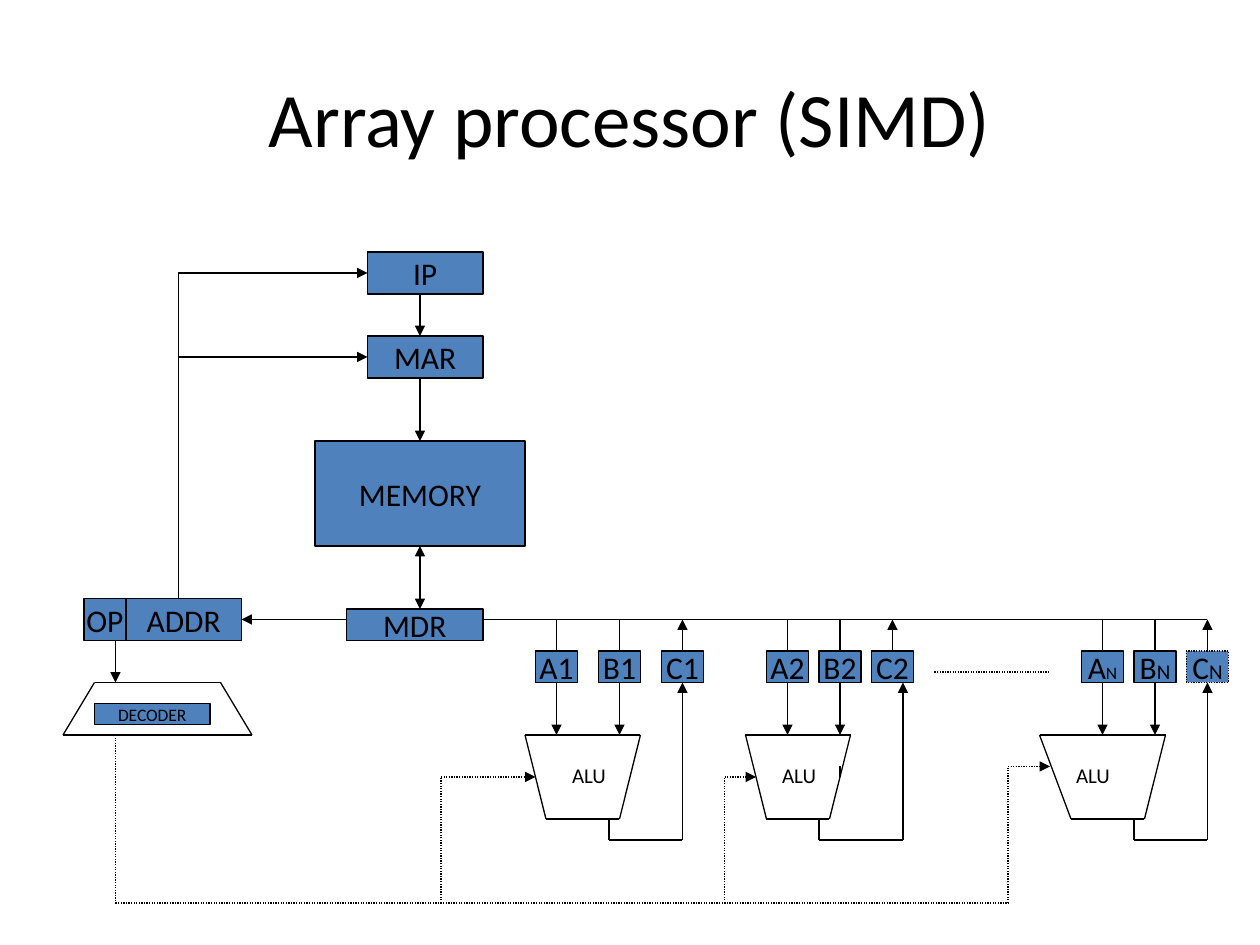
from itertools import pairwise
from lxml.etree import SubElement
from pptx import Presentation
from pptx.dml.color import RGBColor
from pptx.enum.dml import MSO_LINE
from pptx.enum.shapes import MSO_CONNECTOR, MSO_SHAPE
from pptx.enum.text import MSO_ANCHOR, PP_ALIGN
from pptx.oxml.ns import qn
from pptx.util import Inches, Pt

COLORS = {"ink": "000000", "fill": "4F81BD"}
INK = RGBColor.from_string(COLORS["ink"])
FILL = RGBColor.from_string(COLORS["fill"])
FRAME = {"word_wrap": False, "vertical_anchor": MSO_ANCHOR.MIDDLE}

deck = Presentation()
deck.slide_width, deck.slide_height = Inches(10), Inches(7.5)
COL, ROW = deck.slide_width / 120, deck.slide_height / 90
slide = deck.slides.add_slide(deck.slide_layouts[6])
shapes = slide.shapes


def box(left, top, wide, high, runs, solid=True, dash=None):
    area = [int(n) for n in (left * COL, top * ROW, wide * COL, high * ROW)]
    if solid:
        shape = shapes.add_shape(MSO_SHAPE.RECTANGLE, *area)
        shape.shadow.inherit = False
        shape.fill.solid()
        shape.fill.fore_color.rgb = FILL
        shape.line.color.rgb = INK
        shape.line.width = Pt(0.75)
        shape.line.dash_style = dash
    else:
        shape = shapes.add_textbox(*area)
    frame = shape.text_frame
    for key, value in FRAME.items():
        setattr(frame, key, value)
    para = frame.paragraphs[0]
    para.alignment = PP_ALIGN.CENTER
    for text, size in runs:
        run = para.add_run()
        run.text = text
        for key, value in {"name": "Calibri", "size": Pt(size)}.items():
            setattr(run.font, key, value)
        run.font.color.rgb = INK


def wire(*points, ends=(), dash=None):
    pairs = list(pairwise(points))
    for i, (start, stop) in enumerate(pairs):
        spots = [int(n) for x, y in (start, stop) for n in (x * COL, y * ROW)]
        line = shapes.add_connector(MSO_CONNECTOR.STRAIGHT, *spots)
        for key, value in {"width": Pt(0.75), "dash_style": dash}.items():
            setattr(line.line, key, value)
        line.line.color.rgb = INK
        if i == len(pairs) - 1:
            for end in ends:
                SubElement(line.line._get_or_add_ln(), qn(f"a:{end}"), type="triangle")
        SubElement(line._element.spPr, qn("a:effectLst"))


TAIL = ("tailEnd",)
BOTH = ("headEnd", "tailEnd")
DOT = MSO_LINE.ROUND_DOT

box(6, 3.6, 108, 15, [("Array processor (SIMD)", 44)], solid=False)

for left, top, wide, high, text, size in [
    (35, 24, 11, 4, "IP", 18),
    (35, 32, 11, 4, "MAR", 18),
    (30, 42, 20, 10, "MEMORY", 18),
    (33, 58, 13, 3, "MDR", 18),
    (12, 57, 11, 4, "ADDR", 18),
    (8, 57, 4, 4, "OP", 18),
    (9, 67, 11, 2, "DECODER", 10),
]:
    box(left, top, wide, high, [(text, size)])

wire((40, 28), (40, 32), ends=TAIL)
wire((40, 36), (40, 42), ends=TAIL)
wire((40, 52), (40, 58), ends=BOTH)
wire((33, 59), (23, 59), ends=TAIL)
wire((17, 57), (17, 26), (35, 26), ends=TAIL)
wire((17, 34), (35, 34), ends=TAIL)
wire((11, 61), (11, 65), ends=TAIL)
wire((9, 65), (21, 65), (24, 70), (6, 70), (9, 65))
wire((46, 59), (115, 59))
wire((89, 64), (100, 64), dash=DOT)
wire((80, 73), (80, 74))
wire((11, 70), (11, 86), (96, 86), dash=DOT)

lanes = [
    {"regs": (51, 57, 63), "tags": [("1", 18)] * 3, "alu": (50, 61, 59, 52),
     "label": 53, "out": 58, "back": 65, "ctl": (42, 51, 74), "edge": None},
    {"regs": (73, 78, 83), "tags": [("2", 18)] * 3, "alu": (71, 81, 79, 73),
     "label": 73, "out": 78, "back": 86, "ctl": (69, 72, 74), "edge": None},
    {"regs": (103, 108, 113), "tags": [("N", 10), ("N", 12), ("N", 12)],
     "alu": (99, 111, 109, 102),
     "label": 101, "out": 108, "back": 115, "ctl": (96, 100, 73), "edge": DOT},
]
for lane in lanes:
    for name, left, (tag, size) in zip("ABC", lane["regs"], lane["tags"]):
        runs = [(name + tag, 18)] if size == 18 else [(name, 18), (tag, size)]
        mid = left + 2
        if name == "C":
            box(left, 62, 4, 3, runs, dash=lane["edge"])
            wire((mid, 62), (mid, 59), ends=TAIL)
        else:
            box(left, 62, 4, 3, runs)
            wire((mid, 59), (mid, 62))
            wire((mid, 65), (mid, 70), ends=TAIL)
    a, b, c, d = lane["alu"]
    wire((a, 70), (b, 70), (c, 78), (d, 78), (a, 70))
    box(lane["label"], 72, 6.2, 3.6, [("ALU", 12)], solid=False)
    out, back = lane["out"], lane["back"]
    wire((out, 78), (out, 80), (back, 80), (back, 65), ends=TAIL)
    x, tip, y = lane["ctl"]
    wire((x, 86), (x, y), (tip, y), ends=TAIL, dash=DOT)

deck.save("out.pptx")
